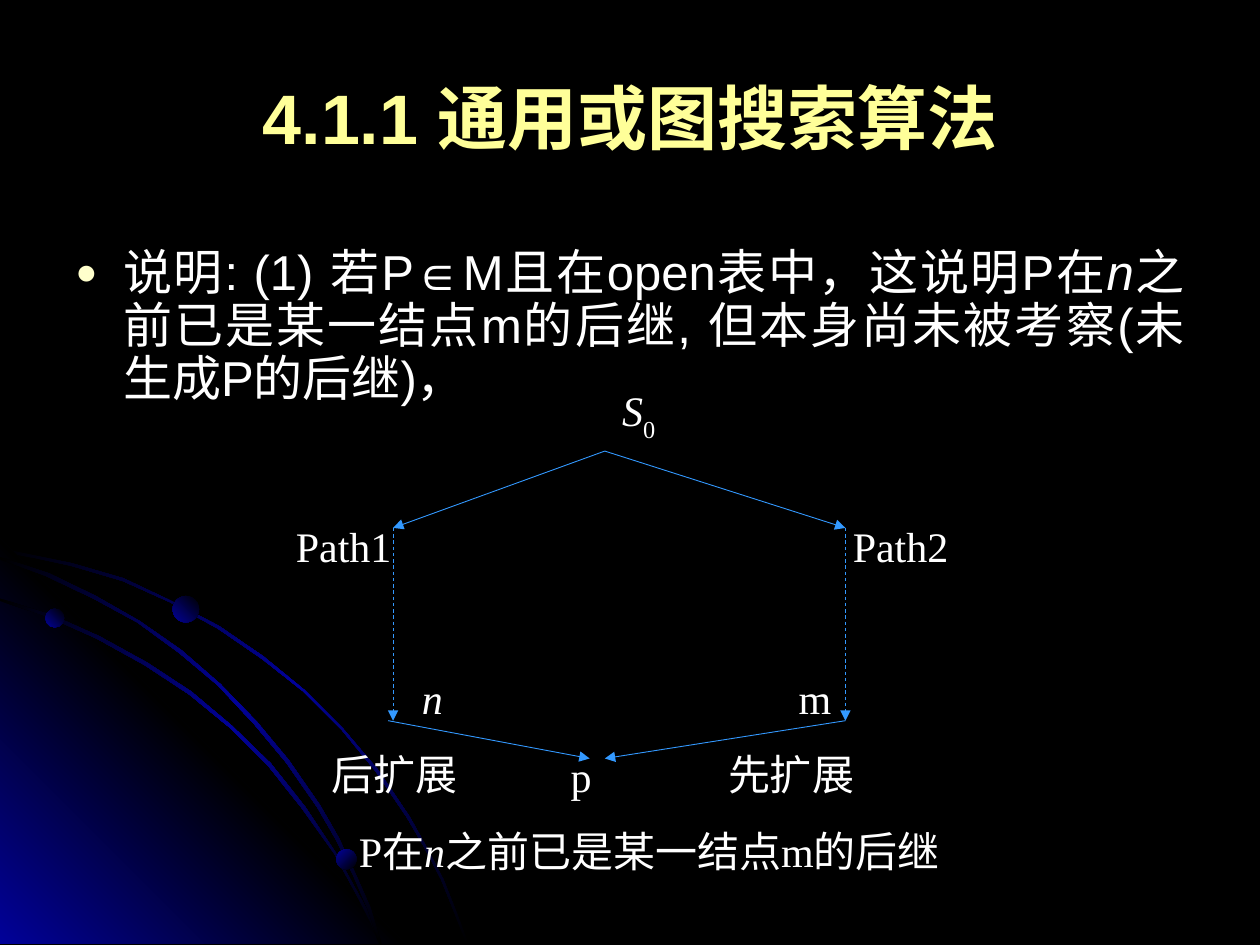
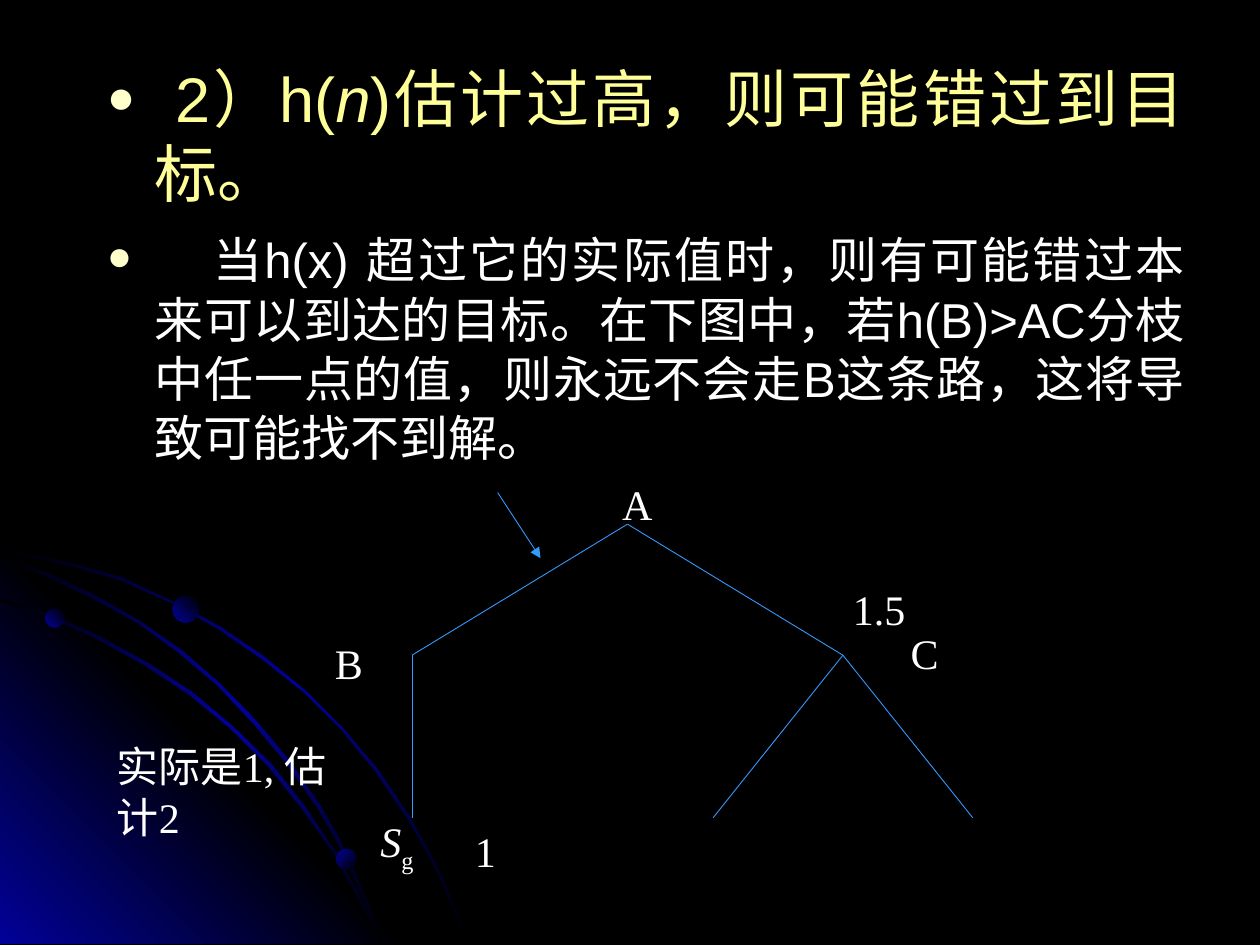
import lxml.etree
import pptx
import pptx.dml.color
import pptx.enum.dml
import pptx.enum.shapes
import pptx.enum.text
import pptx.oxml.ns
import pptx.util

PX = 9144
COLORS = {
    "night": "000000",
    "glow": "010199",
    "title": "FFFF99",
    "text": "FFFFFF",
    "bullet": "FFFFCC",
    "line": "3399FF",
}
SANS, SERIF = "Arial", "Times New Roman"
ALIGN = pptx.enum.text.PP_ALIGN
RIBBON = ("night", "glow", "night")

OUTER_ARC = [
    (57, 447), (28, 441), (0, 435), (0, 438), (28, 443), (56, 449), (97, 461),
    (135, 478), (173, 499), (208, 523), (241, 549), (271, 579), (298, 612),
    (323, 649), (337, 673), (350, 698), (360, 723), (370, 749), (372, 749),
    (362, 723), (352, 698), (339, 673), (325, 648), (300, 611), (272, 578),
    (242, 548), (209, 521), (174, 497), (136, 477), (98, 459),
]
CORNER = [(322, 749), (0, 749), (0, 427)]
INNER_ARC = [
    (285, 714), (294, 732), (301, 749), (303, 749), (296, 730), (286, 712),
    (266, 676), (242, 640), (215, 606), (184, 576), (152, 549), (117, 526),
    (79, 505), (41, 488), (0, 475), (0, 477), (39, 490), (77, 507), (115, 528),
    (150, 551), (183, 578), (213, 608), (240, 642), (265, 677),
]
MIDDLE_ARC = [
    (0, 442), (0, 444), (36, 457), (74, 475), (109, 494), (142, 518),
    (173, 544), (202, 575), (227, 605), (252, 641), (267, 667), (280, 694),
    (292, 722), (301, 749), (303, 749), (294, 720), (282, 693), (269, 665),
    (254, 639), (229, 603), (204, 573), (175, 543), (144, 516), (111, 493),
    (76, 473), (39, 455),
]
OUTLINES = [
    (OUTER_ARC, RIBBON, 225),
    (CORNER, ("glow", "night", "glow"), 135),
    (INNER_ARC, RIBBON, 225),
    (MIDDLE_ARC, RIBBON, 225),
]
BEADS = [(36, 483, 15, 135), (267, 674, 16, 225), (137, 473, 21, 135)]


def emu(*lengths):
    """Turn px lengths into EMU."""
    return [pptx.util.Emu(length * PX) for length in lengths]


def rgb(name):
    """Return a named colour."""
    return pptx.dml.color.RGBColor.from_string(COLORS[name])


def element(parent, tag, **attributes):
    """Append a drawing element to a parent."""
    return lxml.etree.SubElement(parent, pptx.oxml.ns.qn("a:" + tag), attributes)


class Deck:
    """Holds the shared style and the current page."""

    def __init__(self):
        """Open an empty deck of 1000 by 750 px."""
        self.deck = pptx.Presentation()
        self.deck.slide_width, self.deck.slide_height = emu(1000, 750)

    def new_page(self):
        """Start a page with the dark backdrop of arcs and beads."""
        self.page = self.deck.slides.add_slide(self.deck.slide_layouts[6])
        self.shapes = self.page.shapes
        self.page.background.fill.solid()
        self.page.background.fill.fore_color.rgb = rgb("night")
        for points, colors, angle in OUTLINES:
            builder = self.shapes.build_freeform(*points[0], scale=PX)
            builder.add_line_segments(points[1:], close=True)
            self.shade(builder.convert_to_shape(), colors, angle)
        for left, top, size, angle in BEADS:
            oval = pptx.enum.shapes.MSO_SHAPE.OVAL
            bead = self.shapes.add_shape(oval, *emu(left, top, size, size))
            self.shade(bead, ("night", "glow"), angle)

    def shade(self, shape, colors, angle):
        """Fill a shape with an even gradient, clockwise angle, no outline."""
        shape.shadow.inherit = False
        shape.line.fill.background()
        shape.fill.gradient()
        shape.fill.gradient_angle = 360 - angle
        stops = shape._element.spPr.find(".//" + pptx.oxml.ns.qn("a:gsLst"))
        for stop in list(stops):
            stops.remove(stop)
        for index, color in enumerate(colors):
            position = 100000 * index // (len(colors) - 1)
            stop = element(stops, "gs", pos=str(position))
            element(stop, "srgbClr", val=COLORS[color])

    def box(self, left, top, width, height):
        """Add a wrapping text box and return its text frame."""
        frame = self.shapes.add_textbox(*emu(left, top, width, height)).text_frame
        frame.word_wrap = True
        return frame

    def para(self, frame, spans, size, color="text", face=SANS, align=ALIGN.JUSTIFY,
             bold=None):
        """Write spans, each a string or a (text, mark) pair, as a paragraph."""
        para = frame.paragraphs[0]
        if para.runs:
            para = frame.add_paragraph()
        for item in spans:
            text, mark = (item, None) if isinstance(item, str) else item
            span = para.add_run()
            span.text = text
            if mark == "italic":
                span.font.italic = True
            elif mark == "sub":
                span._r.get_or_add_rPr().set("baseline", "-30000")
            elif mark:
                span.font.size = pptx.util.Pt(mark)
        para.alignment = align
        para.font.size = pptx.util.Pt(size)
        para.font.name = face
        para.font.bold = bold
        para.font.color.rgb = rgb(color)
        return para

    def title(self, text):
        """Add the centred page title."""
        frame = self.box(50, 30, 900, 125)
        frame.vertical_anchor = pptx.enum.text.MSO_ANCHOR.MIDDLE
        self.para(frame, [text], 40, "title", align=ALIGN.CENTER, bold=True)

    def bullet(self, frame, spans, size, color="text"):
        """Write a justified paragraph with a round bullet."""
        para = self.para(frame, spans, size, color)
        properties = para._p.get_or_add_pPr()
        properties.set("marL", str(38 * PX))
        properties.set("indent", str(-38 * PX))
        marks = lxml.etree.Element("marks")
        element(element(marks, "buClr"), "srgbClr", val=COLORS["bullet"])
        element(marks, "buSzPct", val="75000")
        element(marks, "buFont", typeface=SANS)
        element(marks, "buChar", char="●")
        defaults = properties.find(pptx.oxml.ns.qn("a:defRPr"))
        for mark in list(marks):
            defaults.addprevious(mark)
        return para

    def label(self, left, top, *spans, width=100, height=50):
        """Add a serif diagram label."""
        frame = self.box(left, top, width, height)
        self.para(frame, spans, 24, face=SERIF, align=ALIGN.LEFT)

    def line(self, start, end, arrow=False, dashed=False):
        """Draw a thin straight line, with an arrowhead if asked."""
        straight = pptx.enum.shapes.MSO_CONNECTOR.STRAIGHT
        connector = self.shapes.add_connector(straight, *emu(*start, *end))
        connector.line.color.rgb = rgb("line")
        connector.line.width = pptx.util.Pt(0.5)
        if dashed:
            connector.line.dash_style = pptx.enum.dml.MSO_LINE.DASH
        if arrow:
            element(connector.line._get_or_add_ln(), "tailEnd", type="triangle")
        element(connector._element.spPr, "effectLst")


def search_page(deck):
    """Build the page on the general graph search."""
    deck.new_page()
    deck.title("4.1.1 通用或图搜索算法")
    note = deck.bullet(deck.box(50, 192, 900, 167), [
        "说明: (1) 若P∈M且在open表中，这说明P在", ("n", "italic"),
        "之前已是某一结点m的后继, 但本身尚未被考察(未生成P的后继)，"], 28)
    note.line_spacing = 0.9

    root, path1, path2 = (480, 358), (312, 419), (671, 419)
    node_n, node_m = (312, 572), (671, 572)
    deck.line(root, path1, arrow=True)
    deck.line(root, path2, arrow=True)
    deck.line((308, 572), (468, 602), arrow=True)
    deck.line(node_m, (480, 602), arrow=True)
    deck.line(path1, node_n, arrow=True, dashed=True)
    deck.line(path2, node_m, arrow=True, dashed=True)

    deck.label(484, 300, ("S", "italic"), ("0", "sub"))
    deck.label(225, 408, "Path1")
    deck.label(667, 408, "Path2")
    deck.label(325, 529, ("n", "italic"))
    deck.label(624, 529, "m")
    deck.label(253, 589, "后扩展", width=140)
    deck.label(443, 591, "p")
    deck.label(568, 589, "先扩展", width=140)
    deck.label(275, 650, "P在", ("n", "italic"), "之前已是某一结点m的后继", width=600)


def estimate_page(deck):
    """Build the page on overestimating h(n)."""
    deck.new_page()
    frame = deck.box(75, 42, 875, 330)
    deck.bullet(frame, [" 2）h(", ("n", "italic"), ")估计过高，则可能错过到目标。"],
                36, "title")
    detail = deck.bullet(frame, [
        ("　", 32),
        "当h(x) 超过它的实际值时，则有可能错过本来可以到达的目标。在下图中，"
        "若h(B)>AC分枝中任一点的值，则永远不会走B这条路，这将导致可能找不到解。"], 28)
    detail.space_before = pptx.util.Pt(7)

    node_a, node_b, node_c = (498, 416), (327, 520), (669, 520)
    deck.line(node_a, node_b)
    deck.line(node_a, node_c)
    deck.line(node_b, (327, 649))
    for leaf in (566, 772):
        deck.line(node_c, (leaf, 649))
    deck.line((395, 391), (429, 443), arrow=True)

    deck.label(256, 501, "B")
    deck.label(713, 493, "C")
    deck.label(484, 375, "A")
    deck.label(292, 642, ("S", "italic"), ("g", "sub"), height=57)
    deck.label(83, 583, "实际是1, 估计2", width=192, height=90)
    deck.label(667, 458, "1.5")
    deck.label(367, 650, "1")


def main():
    """Build both pages and save the deck."""
    deck = Deck()
    search_page(deck)
    estimate_page(deck)
    deck.deck.save("out.pptx")


if __name__ == "__main__":
    main()
